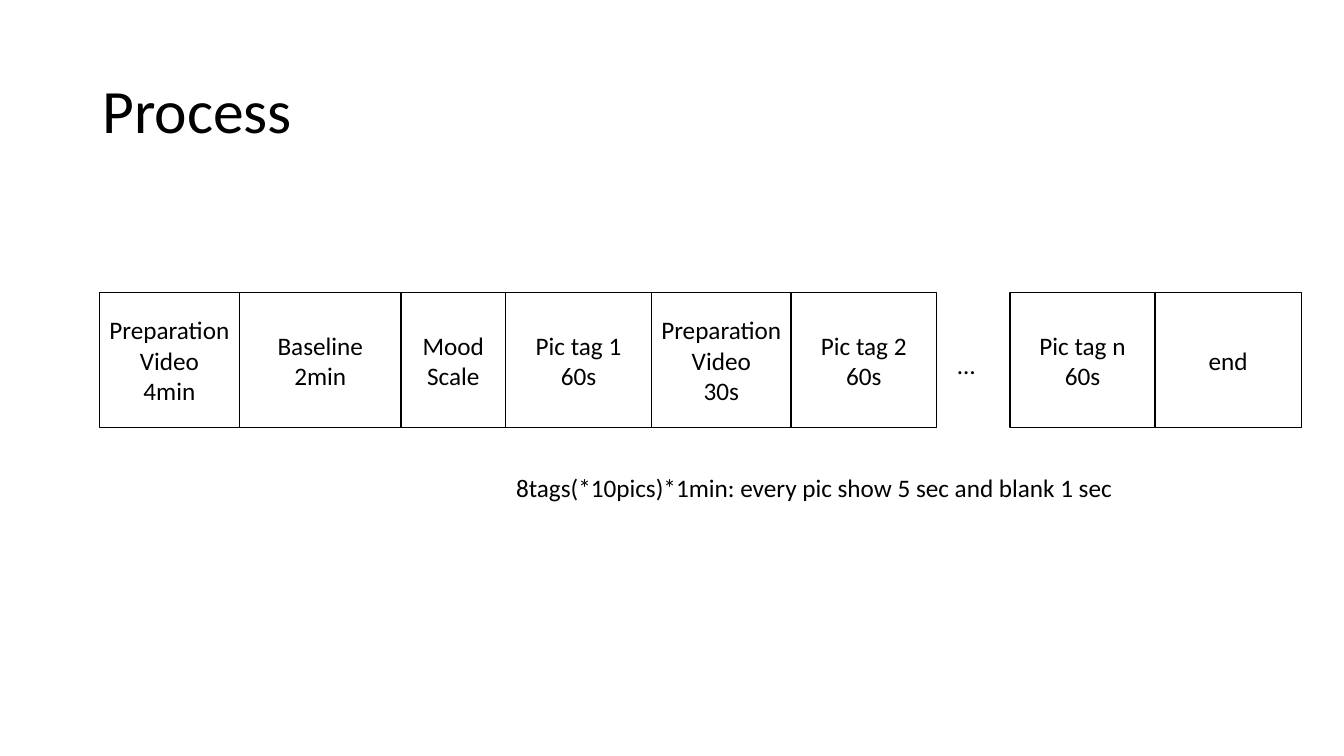
from collections import namedtuple

from pptx import Presentation
from pptx.dml.color import RGBColor
from pptx.enum.shapes import MSO_SHAPE
from pptx.enum.text import MSO_ANCHOR, PP_ALIGN
from pptx.util import Pt

Box = namedtuple("Box", "left top width height")

BLACK = "000000"
WHITE = "FFFFFF"
BODY = {"name": "Calibri", "size": Pt(18)}
HEADING = {"name": "Calibri", "size": Pt(44)}

STEPS = [
    (["Preparation", "Video", "4min"], 100),
    (["Baseline", "2min"], 115.5),
    (["Mood Scale"], 74.5),
    (["Pic tag 1", "60s"], 104.5),
    (["Preparation", "Video", "30s"], 99.5),
    (["Pic tag 2", "60s"], 104),
    (["…"], 52.5),
    (["Pic tag n", "60s"], 103.5),
    (["end"], 104.5),
]


def color(value):
    return RGBColor.from_string(value)


def set_values(target, values):
    for name, value in values.items():
        setattr(target, name, value)


def place(box):
    return [Pt(length) for length in box]


def write(shape, lines, font, frame, paragraph):
    set_values(shape.text_frame, {"word_wrap": True, **frame})
    shape.text_frame.text = "\n".join(lines)
    for para in shape.text_frame.paragraphs:
        set_values(para, paragraph)
        for span in para.runs:
            set_values(span.font, font)
            span.font.color.rgb = color(BLACK)


def add_text(page, box, line, font, frame, paragraph):
    shape = page.shapes.add_textbox(*place(box))
    write(shape, [line], font, frame, paragraph)


def add_step(page, box, lines):
    shape = page.shapes.add_shape(MSO_SHAPE.RECTANGLE, *place(box))
    shape.shadow.inherit = False
    shape.fill.solid()
    shape.fill.fore_color.rgb = color(WHITE)
    shape.line.color.rgb = color(BLACK)
    shape.line.width = Pt(1)
    frame = {
        "vertical_anchor": MSO_ANCHOR.MIDDLE,
        "margin_left": Pt(5),
        "margin_right": Pt(5),
    }
    write(shape, lines, BODY, frame, {"alignment": PP_ALIGN.CENTER})


def add_timeline(page, box):
    left = box.left
    for lines, width in STEPS:
        if lines == ["…"]:
            gap = Box(left, box.top + 37, 83, 29)
            add_text(page, gap, lines[0], BODY, {"margin_left": Pt(15)}, {})
        else:
            add_step(page, Box(left, box.top, width, box.height), lines)
        left += width


def add_process_slide(deck, box):
    page = deck.slides.add_slide(deck.slide_layouts[6])
    title = Box(box.left + 66, box.top + 29, 828, 104.5)
    add_text(page, title, "Process", HEADING,
             {"vertical_anchor": MSO_ANCHOR.MIDDLE}, {"line_spacing": 0.9})
    add_timeline(page, Box(box.left + 71, box.top + 209, 858.5, 96.5))
    note = Box(box.left + 361.5, box.top + 333.5, 463.5, 72.5)
    add_text(page, note,
             "8tags(*10pics)*1min: every pic show 5 sec and blank 1 sec",
             BODY, {}, {})


deck = Presentation()
set_values(deck, {"slide_width": Pt(960), "slide_height": Pt(540)})
add_process_slide(deck, Box(0, 0, 960, 540))
deck.save("out.pptx")
